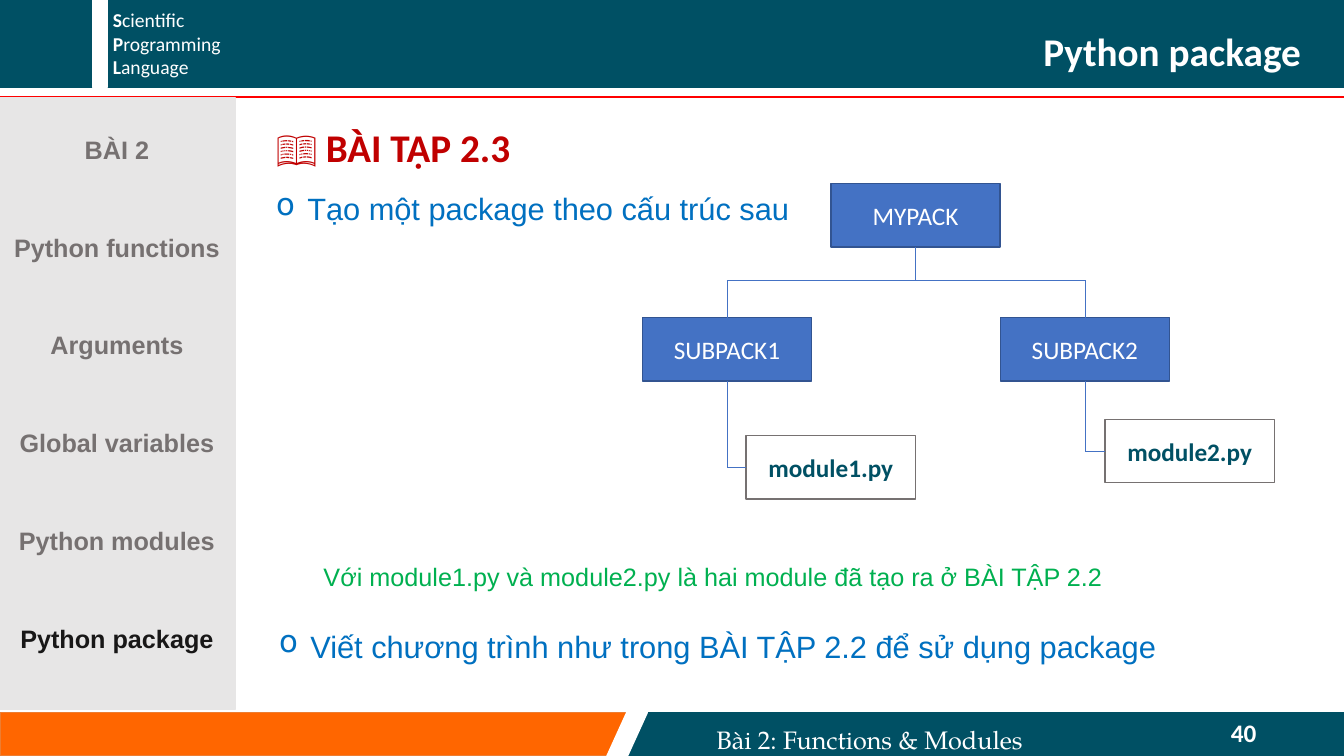
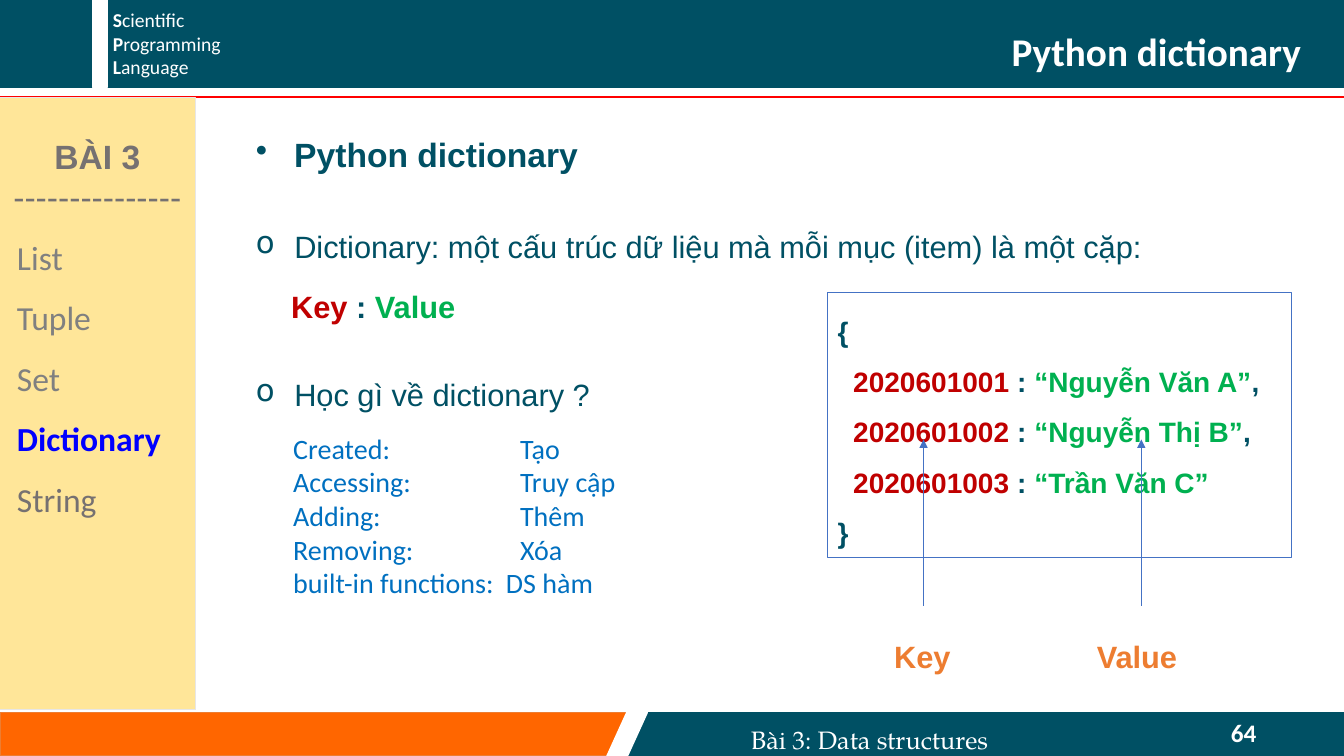
from lxml import etree
from pptx import Presentation
from pptx.dml.color import RGBColor
from pptx.enum.shapes import MSO_CONNECTOR, MSO_SHAPE
from pptx.enum.text import MSO_ANCHOR, PP_ALIGN
from pptx.oxml.ns import qn
from pptx.util import Inches, Pt

LEFT, CENTER, RIGHT, JUSTIFY = PP_ALIGN.LEFT, PP_ALIGN.CENTER, PP_ALIGN.RIGHT, PP_ALIGN.JUSTIFY
TOP, MIDDLE = MSO_ANCHOR.TOP, MSO_ANCHOR.MIDDLE
RECT, SLANT = MSO_SHAPE.RECTANGLE, MSO_SHAPE.PARALLELOGRAM
STRAIGHT = MSO_CONNECTOR.STRAIGHT

WHITE = RGBColor(0xFF, 0xFF, 0xFF)
TEAL = RGBColor(0x00, 0x50, 0x64)
BRIGHT_ORANGE = RGBColor(0xFF, 0x66, 0x00)
ORANGE = RGBColor(0xED, 0x7D, 0x31)
RED = RGBColor(0xFF, 0x00, 0x00)
DARK_RED = RGBColor(0xC0, 0x00, 0x00)
GREEN = RGBColor(0x00, 0xB0, 0x50)
SKY = RGBColor(0x00, 0x70, 0xC0)
BLUE = RGBColor(0x44, 0x72, 0xC4)
NAVY = RGBColor(0x32, 0x54, 0x91)
PURE_BLUE = RGBColor(0x00, 0x00, 0xFF)
PALE_GRAY = RGBColor(0xE7, 0xE6, 0xE6)
GRAY = RGBColor(0x76, 0x71, 0x71)
MID_GRAY = RGBColor(0x80, 0x80, 0x80)
BLACK = RGBColor(0x18, 0x17, 0x17)
SAND = RGBColor(0xFF, 0xE6, 0x99)

WIDTH = 13.33
NODE_W, NODE_H = 1.68, 0.63


def write(frame, text, size=18, font="Arial", color=TEAL, bold=False, align=LEFT,
          spacing=None, before=None, indent=0, bullet=None, tab=None):
    """Add a paragraph; text is a string or a list of (text, color, bold) runs."""
    paragraph = frame.paragraphs[0]
    if paragraph.runs:
        paragraph = frame.add_paragraph()
    paragraph.alignment = align
    if spacing:
        paragraph.line_spacing = spacing
    if before:
        paragraph.space_before = Pt(before)
    properties = paragraph._p.get_or_add_pPr()
    if indent:
        properties.set("marL", str(Inches(indent)))
    if bullet:
        properties.set("indent", str(-Inches(indent)))
        etree.SubElement(properties, qn("a:buChar"), char=bullet)
    if tab:
        stops = etree.SubElement(properties, qn("a:tabLst"))
        etree.SubElement(stops, qn("a:tab"), pos=str(Inches(tab)), algn="l")
    runs = [(text, color, bold)] if isinstance(text, str) else text
    for words, run_color, run_bold in runs:
        run = paragraph.add_run()
        run.text = words
        run.font.size = Pt(size)
        run.font.name = font
        run.font.bold = run_bold
        run.font.color.rgb = run_color


class Lesson:
    """Holds the lecture style and the slide being built."""

    def __init__(self):
        self.deck = Presentation()
        self.deck.slide_width = Inches(WIDTH)
        self.deck.slide_height = Inches(7.5)
        self.slide = None

    def box(self, left, top, width, height, fill=None, line=None, line_width=1,
            preset=RECT, anchor=MIDDLE):
        shape = self.slide.shapes.add_shape(
            preset, Inches(left), Inches(top), Inches(width), Inches(height))
        shape.shadow.inherit = False
        if fill is None:
            shape.fill.background()
        else:
            shape.fill.solid()
            shape.fill.fore_color.rgb = fill
        shape.line.color.rgb = fill if line is None else line
        shape.line.width = Pt(line_width)
        shape.text_frame.vertical_anchor = anchor
        shape.text_frame.word_wrap = True
        return shape

    def text(self, left, top, width, height, *paragraphs, **style):
        area = self.slide.shapes.add_textbox(
            Inches(left), Inches(top), Inches(width), Inches(height))
        area.text_frame.word_wrap = True
        for paragraph in paragraphs:
            write(area.text_frame, paragraph, **style)
        return area.text_frame

    def line(self, start, end, color=BLUE, width=0.5, begin=None, finish=None, arrow=False):
        connector = self.slide.shapes.add_connector(
            STRAIGHT, *(Inches(value) for value in (*start, *end)))
        connector.line.color.rgb = color
        connector.line.width = Pt(width)
        properties = connector._element.spPr
        if arrow:
            etree.SubElement(properties.find(qn("a:ln")), qn("a:tailEnd"), type="triangle")
        etree.SubElement(properties, qn("a:effectLst"))
        if begin:
            connector.begin_connect(*begin)
        if finish:
            connector.end_connect(*finish)

    def node(self, left, top, label, fill=BLUE, line=NAVY, color=WHITE, bold=False):
        shape = self.box(left, top, NODE_W, NODE_H, fill, line)
        write(shape.text_frame, label, font="Calibri", color=color, bold=bold, align=CENTER)
        return shape

    def sidebar(self, width, fill, inset):
        panel = self.box(-0.01, 0.97, width, 6.07, fill, PALE_GRAY, anchor=TOP)
        panel.text_frame.margin_top = Inches(inset)
        return panel.text_frame

    def start(self, title, footer, number):
        self.slide = self.deck.slides.add_slide(self.deck.slide_layouts[6])
        self.box(0, 0, WIDTH, 0.87, TEAL)
        self.box(0.92, 0, 0.14, 0.87, WHITE)
        course = ("Scientific", "Programming", "Language")
        self.text(1.02, 0.03, 2.08, 0.81,
                  *([(word[0], WHITE, True), (word[1:], WHITE, False)] for word in course),
                  size=14, font="Calibri")
        self.box(0, 7.07, 6.22, 0.43, BRIGHT_ORANGE, ORANGE)
        self.box(6.22, 7.07, 7.11, 0.43, TEAL)
        self.line((0, 0.96), (WIDTH, 0.96), RED, 1.5)
        slash = self.box(6.02, 7.07, 0.4, 0.43, WHITE, preset=SLANT)
        slash.adjustments[0] = 0.49
        self.text(12.11, 7.07, 1.07, 0.4, number, font="Calibri", color=WHITE, bold=True)
        self.text(6.22, 7.08, 4.81, 0.46, footer, font="TeX Gyre Pagella", color=WHITE,
                  align=CENTER, spacing=1.2)
        self.text(3.35, 0.13, 9.65, 0.61, title, size=28, font="Calibri", color=WHITE,
                  bold=True, align=RIGHT, spacing=1.2)


def package_tree(lesson):
    root_left, root_top, sub_top, bar = 8.24, 1.82, 3.15, 2.78
    half = NODE_W / 2
    root = lesson.node(root_left, root_top, "MYPACK")
    root_x = root_left + half
    lesson.line((root_x, root_top + NODE_H), (root_x, bar), begin=(root, 2))
    branches = (
        ("SUBPACK1", 6.37, "module1.py", 7.4, 4.32),
        ("SUBPACK2", 9.92, "module2.py", 10.96, 4.16),
    )
    lesson.line((branches[0][1] + half, bar), (branches[1][1] + half, bar))
    for package_name, left, module_name, module_left, module_top in branches:
        subpack = lesson.node(left, sub_top, package_name)
        module = lesson.node(module_left, module_top, module_name, None, GRAY, TEAL, True)
        trunk_x = left + half
        module_y = module_top + NODE_H / 2
        lesson.line((trunk_x, bar), (trunk_x, sub_top), finish=(subpack, 0))
        lesson.line((trunk_x, sub_top + NODE_H), (trunk_x, module_y), begin=(subpack, 2))
        lesson.line((module_left, module_y), (trunk_x, module_y), begin=(module, 1))


def package_slide(lesson):
    lesson.start("Python package", "Bài 2: Functions & Modules", "40")
    menu = lesson.sidebar(2.34, PALE_GRAY, 0.36)
    topics = ("BÀI 2", "Python functions", "Arguments", "Global variables",
              "Python modules", "Python package")
    for index, topic in enumerate(topics):
        write(menu, topic, color=BLACK if topic == "Python package" else GRAY, bold=True,
              align=CENTER, before=48.3 if index else None)
    lesson.text(2.64, 1.08, 9.69, 0.62, "📖 BÀI TẬP 2.3", size=28, font="Calibri",
                color=DARK_RED, bold=True, spacing=1.2)
    task = dict(size=22, color=SKY, align=JUSTIFY, spacing=1.2, indent=0.31, bullet="o")
    lesson.text(2.64, 1.76, 7.57, 0.5, "Tạo một package theo cấu trúc sau", **task)
    package_tree(lesson)
    lesson.text(3.11, 5.46, 8.71, 0.46,
                "Với module1.py và module2.py là hai module đã tạo ra ở BÀI TẬP 2.2",
                color=GREEN, align=JUSTIFY, spacing=1.2)
    lesson.text(2.67, 6.1, 9.84, 0.55,
                "Viết chương trình như trong BÀI TẬP 2.2 để sử dụng package", **task)


def dictionary_slide(lesson):
    lesson.start("Python dictionary", "Bài 3: Data structures", "64")
    menu = lesson.sidebar(1.95, SAND, 0.18)
    write(menu, "BÀI 3", size=24, color=GRAY, bold=True, align=CENTER, spacing=1.5)
    write(menu, "---------------", size=24, color=GRAY, align=CENTER)
    topics = (("List", MID_GRAY), ("Tuple", MID_GRAY), ("Set", MID_GRAY),
              ("Dictionary", PURE_BLUE), ("String", GRAY))
    for topic, color in topics:
        write(menu, topic, size=24, font="Calibri", color=color,
              bold=topic == "Dictionary", spacing=1.5, indent=0.08)

    lesson.text(2.44, 1.2, 7.57, 0.54, "Python dictionary", size=24, bold=True,
                align=JUSTIFY, spacing=1.2, indent=0.38, bullet="•")
    point = dict(size=22, spacing=1.5, indent=0.38, bullet="o")
    lesson.text(2.44, 2.03, 10.52, 0.66,
                "Dictionary: một cấu trúc dữ liệu mà mỗi mục (item) là một cặp:", **point)
    lesson.text(2.79, 2.62, 1.94, 0.66,
                [("Key ", DARK_RED, True), (": ", TEAL, True), ("Value", GREEN, True)],
                size=22, spacing=1.5)
    lesson.text(2.44, 3.5, 3.98, 0.66, "Học gì về dictionary ?", **point)

    operations = lesson.text(2.81, 4.23, 4.65, 1.78)
    meanings = (("Created:", "Tạo", 2.25), ("Accessing:", "Truy cập", 2.25),
                ("Adding:", "Thêm", 2.25), ("Removing:", "Xóa", 2.25),
                ("built-in functions:", "DS hàm", 2.11))
    for operation, meaning, tab in meanings:
        write(operations, f"{operation}\t{meaning}", size=20, font="Calibri",
              color=SKY, tab=tab)

    code = lesson.box(8.21, 2.9, 4.6, 2.63, line=BLUE, line_width=0.75, anchor=TOP).text_frame
    entries = (("2020601001", "“Nguyễn Văn A”", ","), ("2020601002", "“Nguyễn Thị B”", ","),
               ("2020601003", "“Trần Văn C”", ""))
    rows = [[("  ", TEAL, True), (key, DARK_RED, True), (" : ", TEAL, True),
             (value, GREEN, True)] + ([(comma, TEAL, True)] if comma else [])
            for key, value, comma in entries]
    for row in ("{", *rows, "}"):
        write(code, row, size=20, bold=True, spacing=1.5)

    for label, left, arrow_x in (("Key", 8.77, 9.16), ("Value", 10.78, 11.32)):
        lesson.text(left, 6.09, 1.07, 0.66, label, size=22, color=ORANGE, bold=True,
                    spacing=1.5)
        lesson.line((arrow_x, 6.01), (arrow_x, 4.36), arrow=True)


def main():
    lesson = Lesson()
    package_slide(lesson)
    dictionary_slide(lesson)
    lesson.deck.save("out.pptx")


if __name__ == "__main__":
    main()
